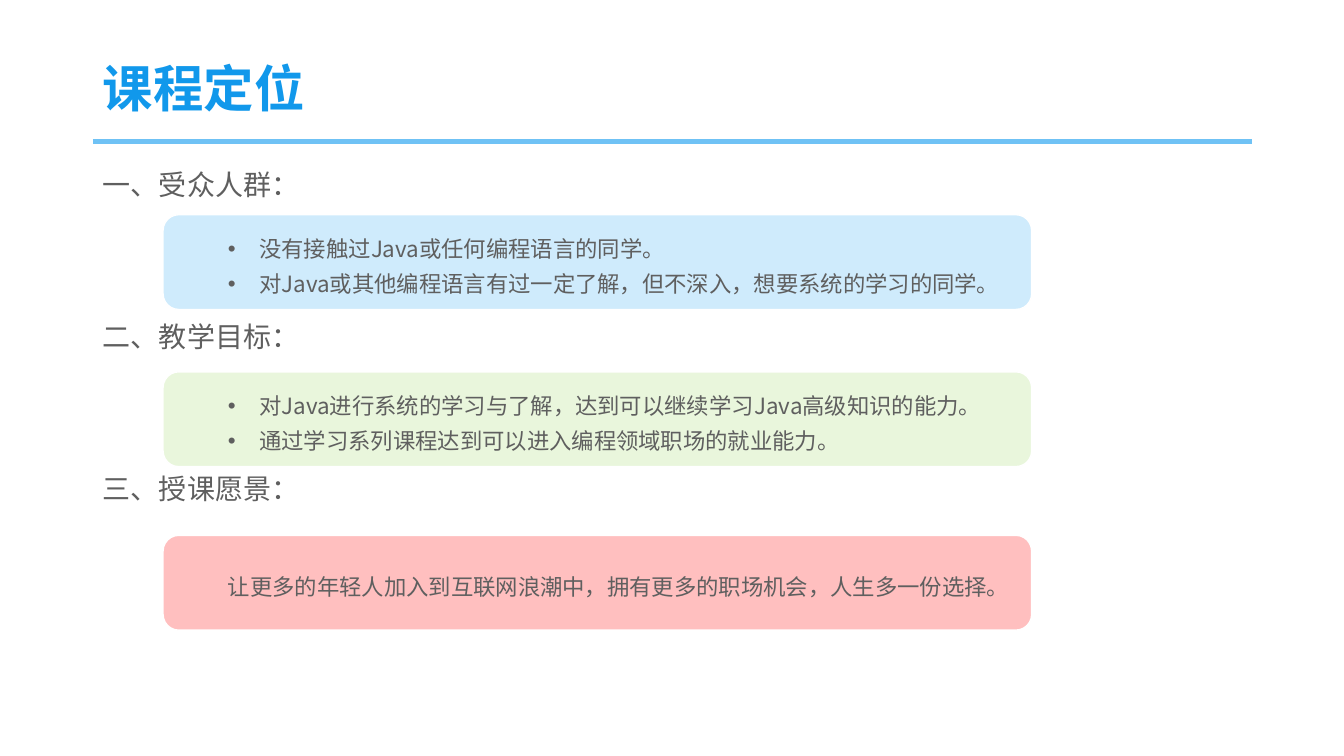
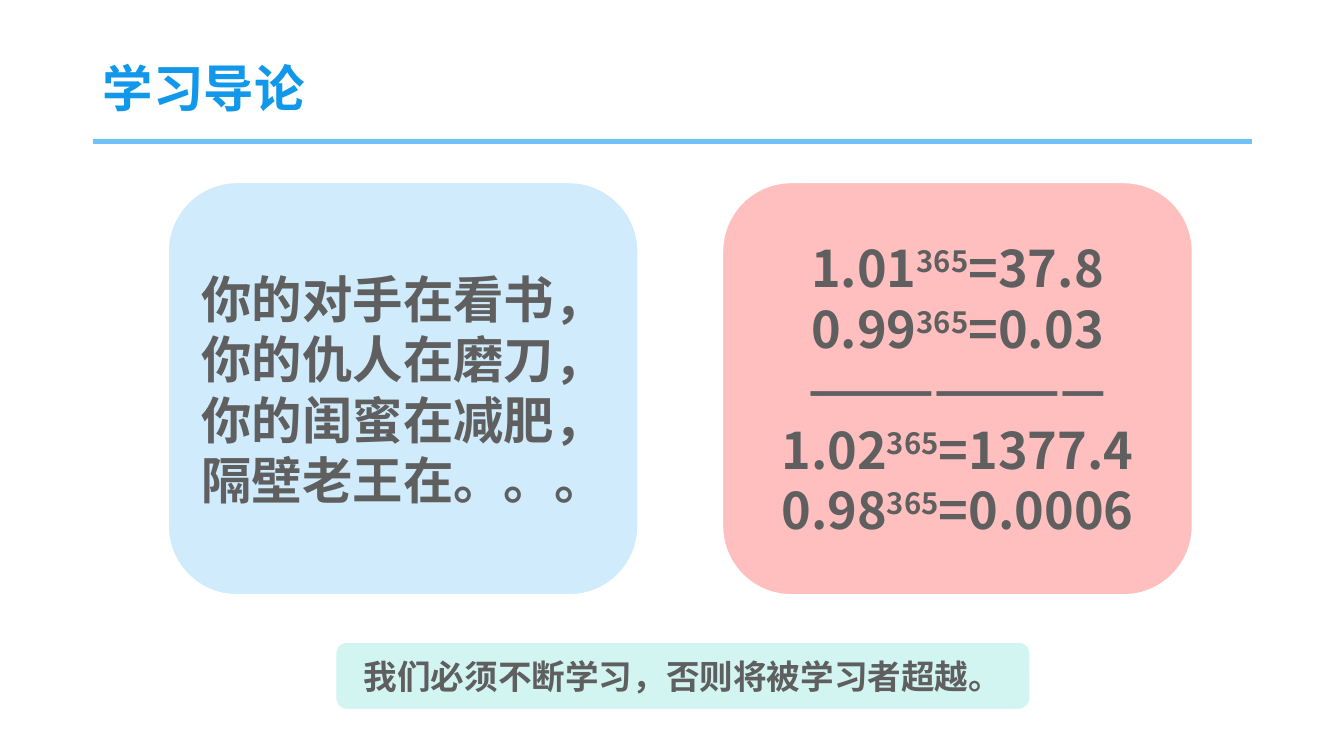
"""Build two course introduction slides: positioning and study motivation."""
from dataclasses import dataclass

from lxml import etree
from pptx import Presentation
from pptx.dml.color import RGBColor
from pptx.enum.shapes import MSO_CONNECTOR, MSO_SHAPE
from pptx.enum.text import MSO_ANCHOR, MSO_AUTO_SIZE, PP_ALIGN
from pptx.oxml.ns import qn
from pptx.util import Cm, Pt

STRAIGHT = MSO_CONNECTOR.STRAIGHT
ROUNDED = MSO_SHAPE.ROUNDED_RECTANGLE
MIDDLE = MSO_ANCHOR.MIDDLE
TOP = MSO_ANCHOR.TOP
NO_AUTOFIT = MSO_AUTO_SIZE.NONE
LEFT = PP_ALIGN.LEFT
CENTER = PP_ALIGN.CENTER

FONT = "Noto Sans CJK SC"
TITLE_BLUE = "1198EB"
RULE_BLUE = "6FC2F5"
TEXT_GRAY = "5F5F5F"
WHITE = "FFFFFF"
PALE_BLUE = "CFEBFC"
PALE_GREEN = "E9F6DC"
PALE_RED = "FFBFBF"
PALE_TEAL = "D2F5F2"

MARGIN = 2.34
CONTENT_WIDTH = 29.21
TITLE_AND_CONTENT = 1
TITLE_ONLY = 5


@dataclass(frozen=True)
class Box:
    """A rectangle in centimetres."""

    left: float
    top: float
    width: float
    height: float


@dataclass(frozen=True)
class TextStyle:
    """Character and paragraph formatting."""

    size: float
    color: str = TEXT_GRAY
    bold: bool = False
    alignment: PP_ALIGN = LEFT
    line_spacing: float = 1.0
    space_before: float = 0
    level: int = 0
    margin: float = 0
    indent: float = 0
    bullet: str = ""


@dataclass(frozen=True)
class Panel:
    """A rounded panel whose lines hold pieces, every second one raised."""

    box: Box
    fill: str
    style: TextStyle
    lines: tuple[tuple[str, ...], ...]


TITLE_STYLE = TextStyle(36, TITLE_BLUE, True, line_spacing=0.9)
HEADING_STYLE = TextStyle(20, line_spacing=1.1, space_before=82)
PLAIN_STYLE = TextStyle(16, line_spacing=1.3, level=1, margin=2.06, indent=-0.79)
BULLET_STYLE = TextStyle(16, line_spacing=1.3, level=1, margin=2.06, indent=-0.79, bullet="•")
CARD_STYLE = TextStyle(36, bold=True, alignment=CENTER)
NOTE_STYLE = TextStyle(24, bold=True, alignment=CENTER)

TITLE_BOX = Box(MARGIN, 1.02, CONTENT_WIDTH, 2.54)
BODY_BOX = Box(MARGIN, 4.01, CONTENT_WIDTH, 13.16)

HEADINGS = (("一、受众人群：",), ("二、教学目标：",), ("三、授课愿景：",))


def section_box(top: float) -> Box:
    """Return the box of a section panel."""
    return Box(4.11, top, 21.89, 2.39)


def card_box(column: int) -> Box:
    """Return the box of a large card in the given column."""
    return Box(4.24 + 13.97 * column, 4.6, 11.84, 10.39)


SECTION_PANELS = (
    Panel(section_box(5.41), PALE_BLUE, BULLET_STYLE, (
        ("没有接触过Java或任何编程语言的同学。",),
        ("对Java或其他编程语言有过一定了解，但不深入，想要系统的学习的同学。",),
    )),
    Panel(section_box(9.37), PALE_GREEN, BULLET_STYLE, (
        ("对Java进行系统的学习与了解，达到可以继续学习Java高级知识的能力。",),
        ("通过学习系列课程达到可以进入编程领域职场的就业能力。",),
    )),
    Panel(section_box(13.49), PALE_RED, PLAIN_STYLE, (
        ("让更多的年轻人加入到互联网浪潮中，拥有更多的职场机会，人生多一份选择。",),
    )),
)

MOTIVATION_PANELS = (
    Panel(card_box(0), PALE_BLUE, CARD_STYLE, (
        ("你的对手在看书，",),
        ("你的仇人在磨刀，",),
        ("你的闺蜜在减肥，",),
        ("隔壁老王在。。。",),
    )),
    Panel(card_box(1), PALE_RED, CARD_STYLE, (
        ("1.01", "365", "=37.8"),
        ("0.99", "365", "=0.03"),
        ("———————",),
        ("1.02", "365", "=1377.4"),
        ("0.98", "365", "=0.0006"),
    )),
    Panel(Box(8.46, 16.18, 17.5, 1.7), PALE_TEAL, NOTE_STYLE, (
        ("我们必须不断学习，否则将被学习者超越。",),
    )),
)


def rgb(color: str) -> RGBColor:
    """Turn a hex string into a colour."""
    return RGBColor.from_string(color)


def lengths(box: Box) -> tuple[Cm, Cm, Cm, Cm]:
    """Return the sides of a box as lengths."""
    return Cm(box.left), Cm(box.top), Cm(box.width), Cm(box.height)


def add_run(paragraph, text: str, style: TextStyle, raised: bool) -> None:
    """Append one formatted run, as superscript when raised."""
    run = paragraph.add_run()
    run.text = text
    run.font.size = Pt(style.size)
    run.font.bold = style.bold
    run.font.color.rgb = rgb(style.color)
    run.font.name = FONT
    properties = run._r.get_or_add_rPr()
    etree.SubElement(properties, qn("a:ea")).set("typeface", FONT)
    if raised:
        properties.set("baseline", "30000")


def format_paragraph(paragraph, style: TextStyle, first: bool) -> None:
    """Apply indents, bullet, alignment and spacing."""
    properties = paragraph._p.get_or_add_pPr()
    properties.set("marL", str(Cm(style.margin)))
    properties.set("indent", str(Cm(style.indent)))
    if style.bullet:
        etree.SubElement(properties, qn("a:buFont")).set("typeface", "Arial")
        etree.SubElement(properties, qn("a:buChar")).set("char", style.bullet)
    else:
        etree.SubElement(properties, qn("a:buNone"))
    paragraph.level = style.level
    paragraph.alignment = style.alignment
    paragraph.line_spacing = style.line_spacing
    paragraph.space_before = Pt(0 if first else style.space_before)


def write_lines(shape, lines: tuple[tuple[str, ...], ...], style: TextStyle, anchor: MSO_ANCHOR) -> None:
    """Fill the text frame of a shape with formatted lines."""
    frame = shape.text_frame
    frame.word_wrap = True
    frame.auto_size = NO_AUTOFIT
    frame.vertical_anchor = anchor
    for number, pieces in enumerate(lines):
        paragraph = frame.add_paragraph() if number else frame.paragraphs[0]
        format_paragraph(paragraph, style, number == 0)
        for position, text in enumerate(pieces):
            add_run(paragraph, text, style, position % 2 == 1)


def fill_placeholder(
    shape, box: Box, lines: tuple[tuple[str, ...], ...], style: TextStyle, anchor: MSO_ANCHOR
) -> None:
    """Move a placeholder and write its text."""
    shape.left, shape.top, shape.width, shape.height = lengths(box)
    write_lines(shape, lines, style, anchor)


def add_title_rule(slide) -> None:
    """Draw the line under the title."""
    bottom = Cm(TITLE_BOX.top + TITLE_BOX.height)
    rule = slide.shapes.add_connector(
        STRAIGHT, Cm(MARGIN), bottom, Cm(MARGIN + CONTENT_WIDTH), bottom
    )
    rule.line.color.rgb = rgb(RULE_BLUE)
    rule.line.width = Pt(3.5)
    etree.SubElement(rule._element.spPr, qn("a:effectLst"))


def add_panel(slide, panel: Panel) -> None:
    """Draw a rounded panel with its text."""
    shape = slide.shapes.add_shape(ROUNDED, *lengths(panel.box))
    shape.shadow.inherit = False
    shape.fill.solid()
    shape.fill.fore_color.rgb = rgb(panel.fill)
    shape.line.color.rgb = rgb(WHITE)
    shape.line.width = Pt(1)
    write_lines(shape, panel.lines, panel.style, MIDDLE)


def add_slide(presentation, layout: int, title: str, panels: tuple[Panel, ...]):
    """Add a slide with a title, the rule below it and panels."""
    slide = presentation.slides.add_slide(presentation.slide_layouts[layout])
    fill_placeholder(slide.shapes.title, TITLE_BOX, ((title,),), TITLE_STYLE, MIDDLE)
    add_title_rule(slide)
    for panel in panels:
        add_panel(slide, panel)
    return slide


def main() -> None:
    """Build and save the presentation."""
    presentation = Presentation()
    presentation.slide_width = Cm(33.87)
    presentation.slide_height = Cm(19.05)
    positioning = add_slide(presentation, TITLE_AND_CONTENT, "课程定位", SECTION_PANELS)
    fill_placeholder(positioning.placeholders[1], BODY_BOX, HEADINGS, HEADING_STYLE, TOP)
    add_slide(presentation, TITLE_ONLY, "学习导论", MOTIVATION_PANELS)
    presentation.save("out.pptx")


if __name__ == "__main__":
    main()
